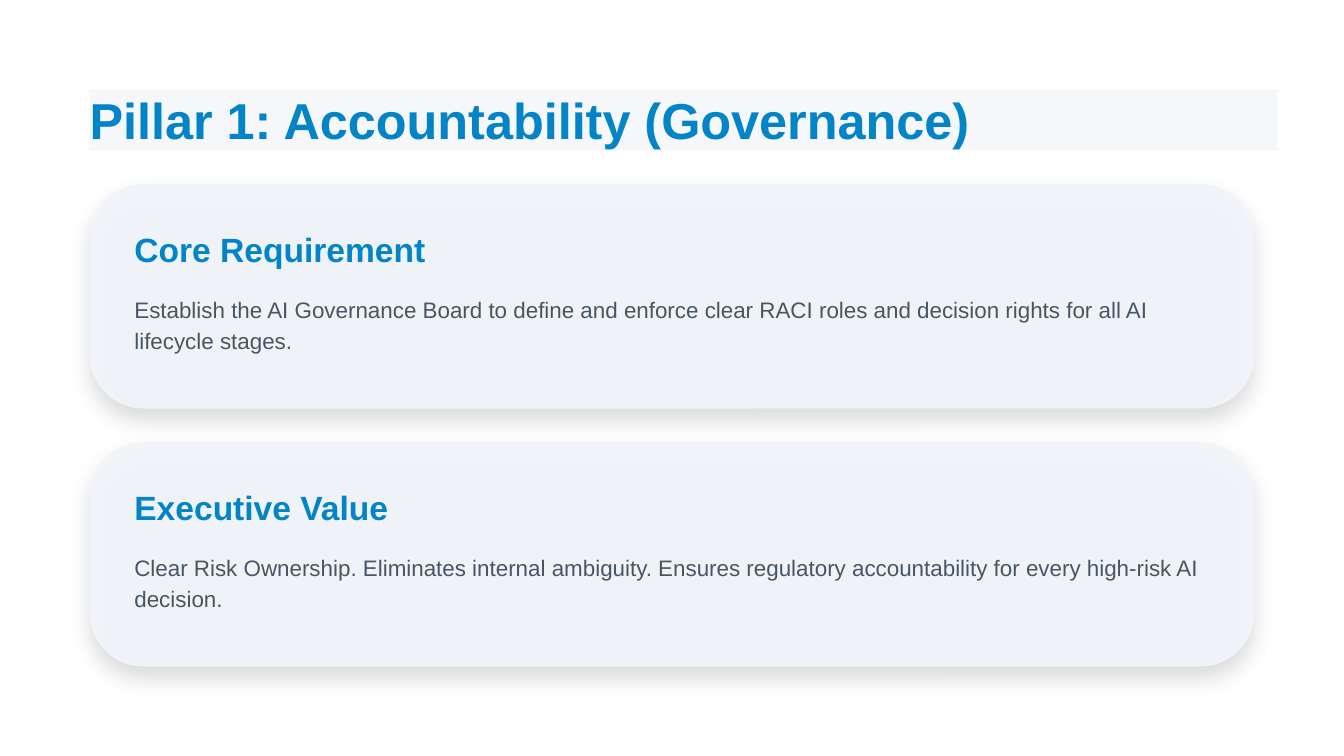
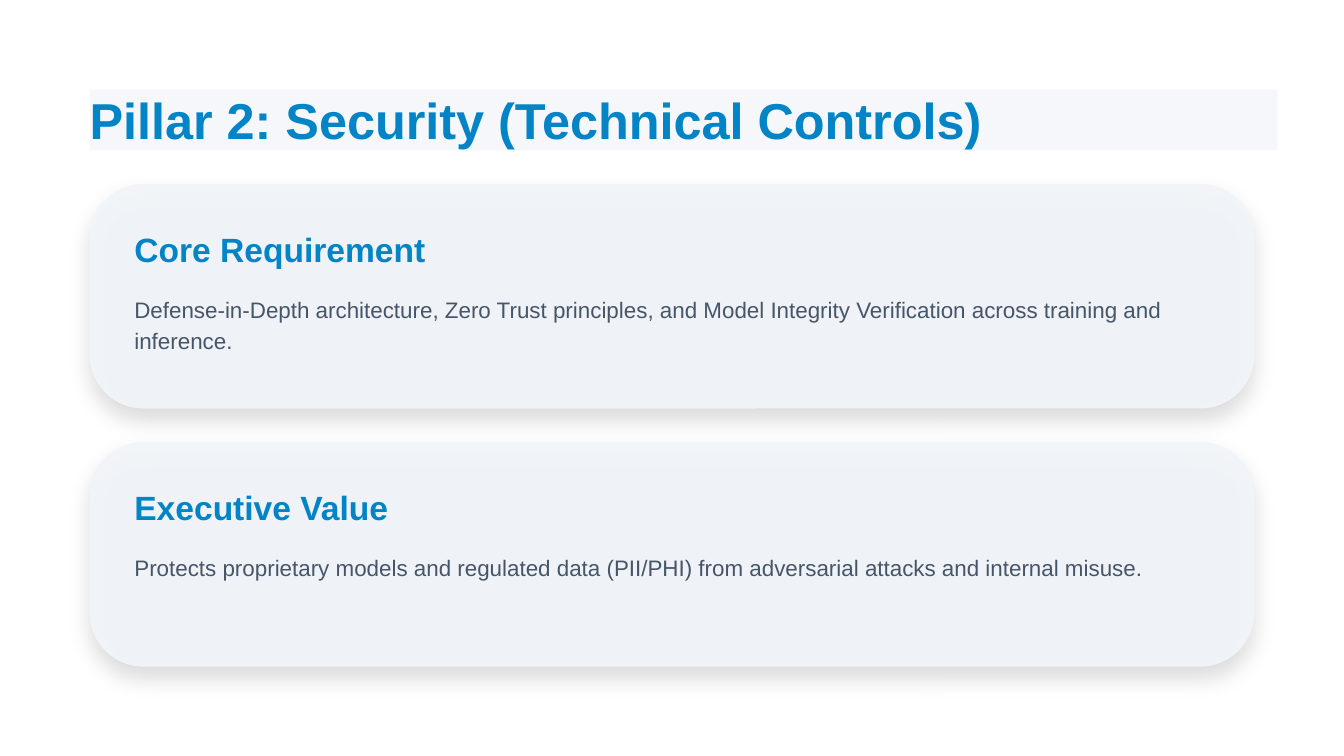
from dataclasses import dataclass

from lxml.etree import SubElement
from pptx import Presentation
from pptx.dml.color import RGBColor
from pptx.enum.shapes import MSO_SHAPE as Preset
from pptx.enum.text import MSO_ANCHOR as Anchor, MSO_AUTO_SIZE as AutoSize, PP_ALIGN as Align
from pptx.oxml.ns import qn
from pptx.util import Inches, Pt

# Shared look
WHITE = RGBColor(0xFF, 0xFF, 0xFF)
PANEL = RGBColor(0xF1, 0xF5, 0xF9)
BLUE = RGBColor(0x02, 0x84, 0xC7)
SLATE = RGBColor(0x47, 0x55, 0x69)
FONT = "Arial"

# Widescreen page, 16:9
PAGE_WIDTH = Inches(10)
PAGE_HEIGHT = PAGE_WIDTH * 9 // 16

# Card grid, with margins in thirds of an inch
MARGIN = Inches(2) // 3
PADDING = Inches(1) // 3
CARD_TOP = Inches(1.37)
CARD_WIDTH, CARD_HEIGHT = PAGE_WIDTH - 2 * MARGIN, Inches(1.67)
CARD_STEP = Inches(1.92)
BODY_OFFSET = Inches(0.8)
TEXT_WIDTH, WRAPPED_WIDTH = Inches(8.16), Inches(8)


@dataclass(frozen=True)
class TextStyle:
    size: float
    spacing: float
    color: RGBColor
    bold: bool = False


@dataclass(frozen=True)
class Card:
    heading: str
    body: str
    lines: int = 2


@dataclass(frozen=True)
class Pillar:
    title: str
    cards: tuple[Card, ...]


TITLE = TextStyle(27, 32.4, BLUE, True)
HEADING = TextStyle(18, 21.6, BLUE, True)
BODY = TextStyle(12, 16.8, SLATE)

PILLARS = (
    Pillar("Pillar 1: Accountability (Governance)", (
        Card("Core Requirement",
             "Establish the AI Governance Board to define and enforce clear RACI roles "
             "and decision rights for all AI lifecycle stages."),
        Card("Executive Value",
             "Clear Risk Ownership. Eliminates internal ambiguity. Ensures regulatory "
             "accountability for every high-risk AI decision."),
    )),
    Pillar("Pillar 2: Security (Technical Controls)", (
        Card("Core Requirement",
             "Defense-in-Depth architecture, Zero Trust principles, and Model Integrity "
             "Verification across training and inference."),
        Card("Executive Value",
             "Protects proprietary models and regulated data (PII/PHI) from adversarial "
             "attacks and internal misuse.", lines=1),
    )),
)


def fill_panel(shape, opacity: int) -> None:
    """Fill a shape with the panel colour at an opacity in percent."""
    shape.fill.solid()
    shape.fill.fore_color.rgb = PANEL
    color = shape._element.spPr.find(qn("a:solidFill"))[0]
    SubElement(color, qn("a:alpha"), val=str(opacity * 1000))


def add_soft_shadow(shape) -> None:
    shape.shadow.inherit = False
    effects = shape._element.spPr.find(qn("a:effectLst"))
    shadow = SubElement(effects, qn("a:outerShdw"), blurRad=str(Pt(12)),
                        dist=str(Pt(6)), dir="5400000", algn="ctr", rotWithShape="0")
    color = SubElement(shadow, qn("a:srgbClr"), val="000000")
    SubElement(color, qn("a:alpha"), val="15000")


def write(box, text: str, style: TextStyle) -> None:
    frame = box.text_frame
    frame.text = text
    frame.word_wrap = True
    frame.auto_size = AutoSize.NONE
    frame.vertical_anchor = Anchor.TOP
    frame.margin_left = frame.margin_right = frame.margin_top = frame.margin_bottom = 0
    para = frame.paragraphs[0]
    para.alignment = Align.LEFT
    para.line_spacing = Pt(style.spacing)
    font = para.runs[0].font
    font.name, font.size, font.bold = FONT, Pt(style.size), style.bold
    font.color.rgb = style.color


def add_title(page, text: str) -> None:
    title = page.shapes.title
    title.left, title.top = MARGIN, MARGIN
    title.width, title.height = Inches(8.84), Pt(TITLE.spacing)
    fill_panel(title, 70)
    write(title, text, TITLE)


def add_card(page, card: Card, top: int) -> None:
    # Panel
    panel = page.shapes.add_shape(Preset.ROUNDED_RECTANGLE, MARGIN, top,
                                  CARD_WIDTH, CARD_HEIGHT)
    panel.adjustments[0] = 0.24
    fill_panel(panel, 95)
    panel.line.fill.background()
    add_soft_shadow(panel)

    # Heading and body
    left = MARGIN + PADDING
    heading = page.shapes.add_textbox(left, top + PADDING, TEXT_WIDTH, Pt(HEADING.spacing))
    write(heading, card.heading, HEADING)
    width = WRAPPED_WIDTH if card.lines > 1 else TEXT_WIDTH
    body = page.shapes.add_textbox(left, top + BODY_OFFSET, width,
                                   Pt(BODY.spacing * card.lines))
    write(body, card.body, BODY)


def add_pillar(deck, pillar: Pillar) -> None:
    page = deck.slides.add_slide(deck.slide_layouts[5])
    page.background.fill.solid()
    page.background.fill.fore_color.rgb = WHITE
    add_title(page, pillar.title)
    for row, card in enumerate(pillar.cards):
        add_card(page, card, CARD_TOP + row * CARD_STEP)


def main() -> None:
    deck = Presentation()
    deck.slide_width, deck.slide_height = PAGE_WIDTH, PAGE_HEIGHT
    for pillar in PILLARS:
        add_pillar(deck, pillar)
    deck.save("out.pptx")


if __name__ == "__main__":
    main()
